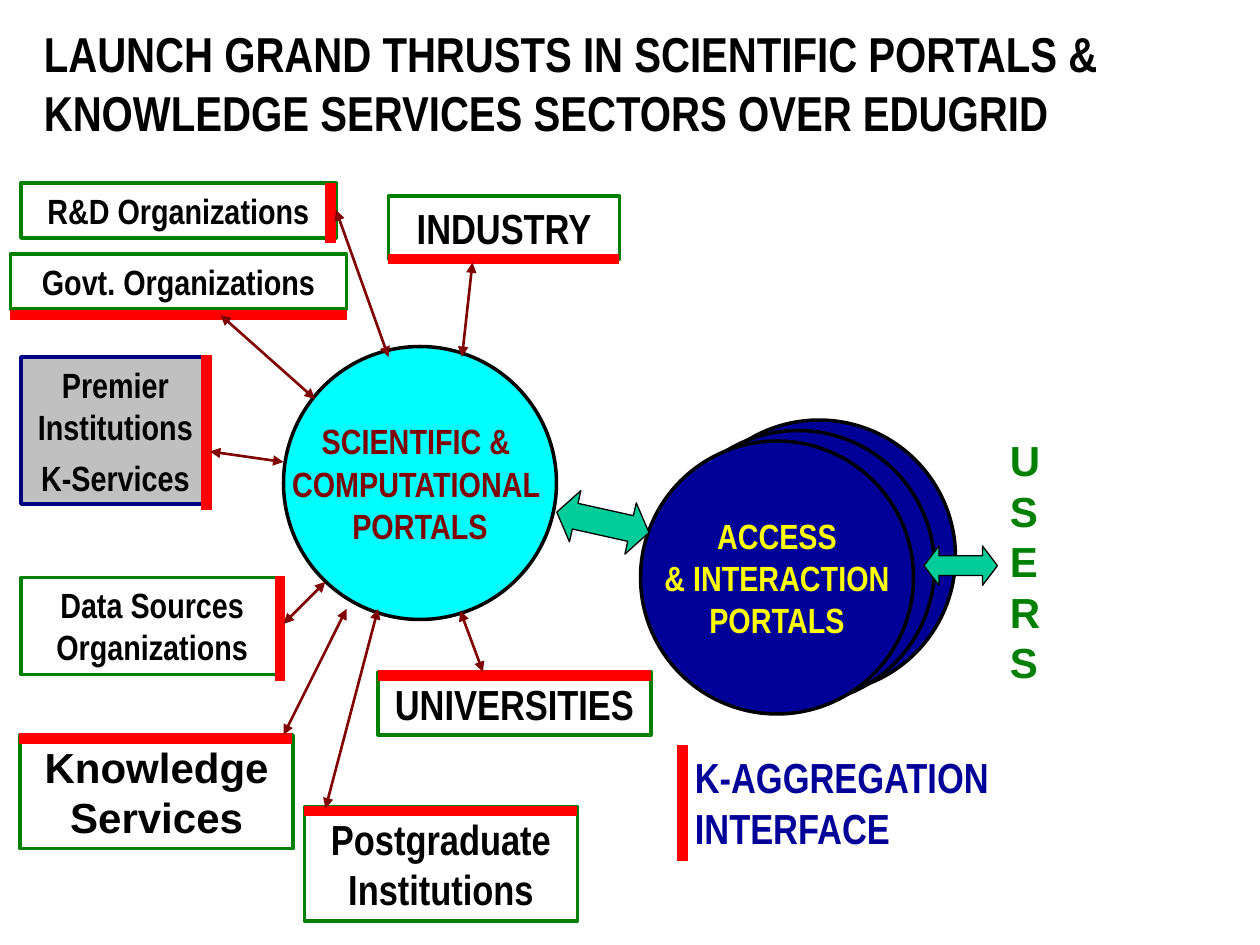
from lxml.etree import SubElement
from pptx import Presentation
from pptx.dml.color import RGBColor
from pptx.enum.shapes import MSO_CONNECTOR, MSO_SHAPE
from pptx.enum.text import MSO_ANCHOR, PP_ALIGN
from pptx.oxml.ns import qn
from pptx.util import Pt

HUES = {
    "black": "000000", "green": "008000", "red": "FF0000", "maroon": "800000",
    "navy": "000080", "blue": "000099", "cyan": "00FFFF", "teal": "00CC99",
    "grey": "C0C0C0", "yellow": "FFFF00",
}


class Board:
    """Holds the style and the current slide, and draws each kind of element."""

    narrow = "Arial Narrow"

    def __init__(self, deck):
        self.slide = deck.slides.add_slide(deck.slide_layouts[6])

    def hue(self, name):
        return RGBColor.from_string(HUES[name])

    def apply(self, item, values):
        for key, value in values.items():
            setattr(item, key, value)

    def letter(self, shape, text, size, hue="black", face=narrow,
               align=PP_ALIGN.CENTER, anchor=MSO_ANCHOR.TOP, wrap=True, gap=0):
        frame = shape.text_frame
        self.apply(frame, {"text": text, "word_wrap": wrap, "vertical_anchor": anchor})
        for para in frame.paragraphs:
            self.apply(para, {"alignment": align, "space_before": Pt(gap)})
            for run in para.runs:
                self.apply(run.font, {"name": face, "size": Pt(size), "bold": True})
                run.font.color.rgb = self.hue(hue)

    def shape(self, kind, spot, fill=None, line="black", width=2):
        shape = self.slide.shapes.add_shape(kind, *map(Pt, spot))
        shape.shadow.inherit = False
        if fill:
            shape.fill.solid()
            shape.fill.fore_color.rgb = self.hue(fill)
        else:
            shape.fill.background()
        shape.line.width = Pt(width)
        shape.line.color.rgb = self.hue(line)
        return shape

    def box(self, spot, text, size, fill=None, line="green", **style):
        shape = self.shape(MSO_SHAPE.RECTANGLE, spot, fill, line)
        self.letter(shape, text, size, **style)

    def disc(self, left, top, fill, text="", hue="black"):
        shape = self.shape(MSO_SHAPE.OVAL, (left, top, 156, 156), fill)
        if text:
            self.letter(shape, text, 20, hue, anchor=MSO_ANCHOR.MIDDLE, wrap=False)

    def label(self, spot, text, size, hue, face=narrow):
        shape = self.slide.shapes.add_textbox(*map(Pt, spot))
        self.letter(shape, text, size, hue, face, PP_ALIGN.LEFT)

    def line(self, ends, hue="red", width=6):
        line = self.slide.shapes.add_connector(MSO_CONNECTOR.STRAIGHT, *map(Pt, ends))
        line.line.color.rgb = self.hue(hue)
        line.line.width = Pt(width)
        SubElement(line._element.spPr, qn("a:effectLst"))
        return line

    def arrow(self, ends):
        line = self.line(ends, "maroon", 1.5)
        for tag in ("a:headEnd", "a:tailEnd"):
            SubElement(line._element.spPr.find(qn("a:ln")), qn(tag), type="triangle")

    def block(self, spot, tip, turn=0):
        shape = self.shape(MSO_SHAPE.LEFT_RIGHT_ARROW, spot, "teal", width=0.75)
        shape.adjustments[1] = tip
        shape.rotation = turn


deck = Presentation()
deck.slide_width, deck.slide_height = Pt(720), Pt(540)
board = Board(deck)

access = "ACCESS\n& INTERACTION\nPORTALS"
for step, text in enumerate(("", "", access)):
    board.disc(390 - 12 * step, 240 + 6 * step, "blue", text, "yellow")
board.disc(162, 198, "cyan", "SCIENTIFIC & \nCOMPUTATIONAL \nPORTALS", "maroon")

boxes = [
    ((12, 330, 150, 55.5), "Data Sources Organizations", 20, {}),
    ((12, 204, 108, 84), "Premier Institutions\nK-Services", 20,
     {"fill": "grey", "line": "navy", "gap": 5}),
    ((6, 145.2, 192, 31.5), "Govt. Organizations", 20, {}),
    ((11.5, 420, 156, 65), "Knowledge Services", 24, {"face": "Arial"}),
    ((216, 384, 156, 36), "UNIVERSITIES ", 24, {}),
    ((222, 112, 132, 36), "INDUSTRY", 24, {"gap": 6}),
    ((12, 104.5, 180, 31.5), "R&D Organizations", 20, {}),
    ((174, 461.2, 156, 65), "Postgraduate Institutions", 24, {}),
]
for spot, text, size, style in boxes:
    board.box(spot, text, size, **style)

bars = [
    (6, 180, 198, 180), (11, 422, 167, 422), (216, 386, 372, 386),
    (222, 148, 354, 148), (174, 463.5, 330, 463.5), (160, 329, 160, 389),
    (118, 203, 118, 291.5), (188.75, 104.5, 188.75, 139), (390, 426, 390, 492),
]
for ends in bars:
    board.line(ends)

arrows = [
    (192, 120, 222, 204), (198, 348, 162, 420), (126, 180, 180, 228),
    (270, 150, 264, 204), (120, 258, 162, 264), (263, 349, 276, 384),
    (162, 356.5, 186, 332.5), (216, 348, 186, 462),
]
for ends in arrows:
    board.arrow(ends)

board.block((528, 312, 42, 22.5), 0.38)
board.block((317.5, 283.5, 54, 30), 0.36, 12.5)

board.label((570, 245, 42, 151), "\n".join("USERS"), 24, "green", "Arial")
board.label((390, 426, 228, 65), "K-AGGREGATION INTERFACE", 24, "blue")
board.label((18, 10, 618, 75), "LAUNCH GRAND THRUSTS IN SCIENTIFIC PORTALS & "
            "KNOWLEDGE SERVICES SECTORS OVER EDUGRID", 28, "black")

deck.save("out.pptx")
